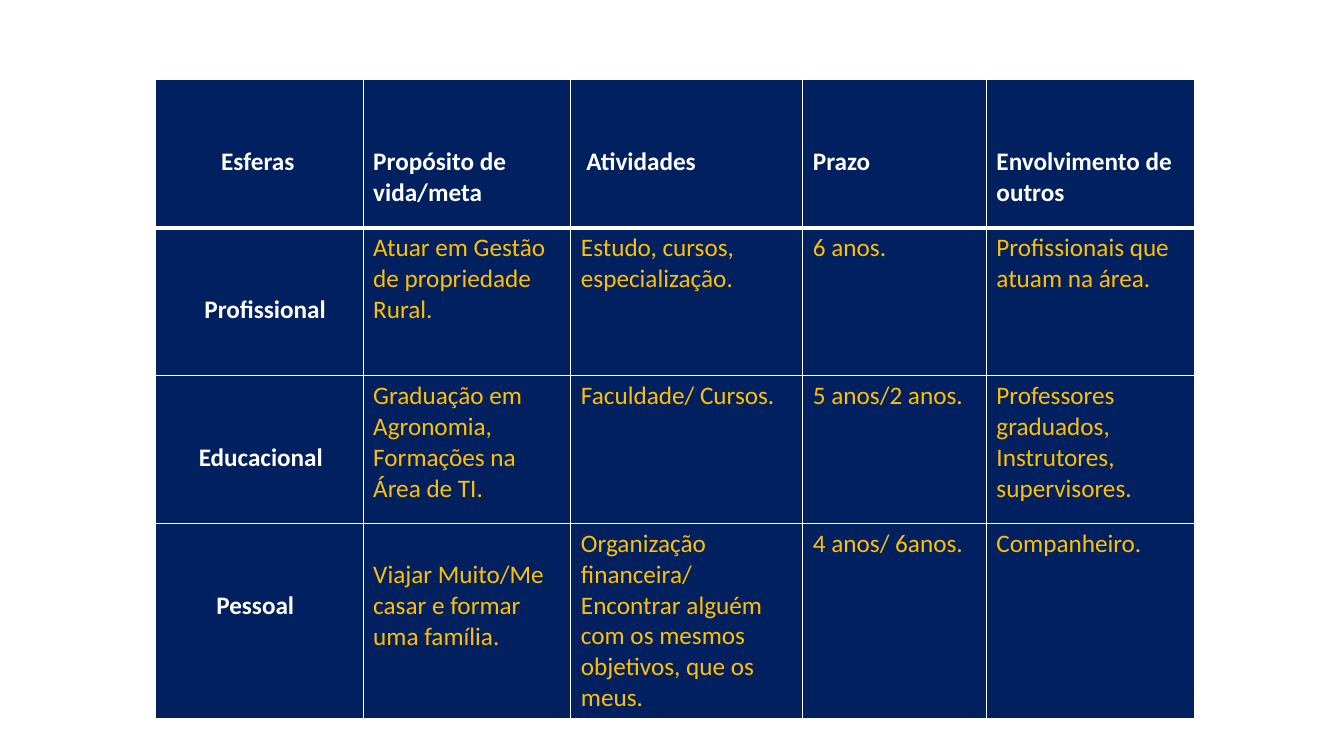
import pptx
import pptx.dml.color
import pptx.oxml
import pptx.oxml.ns
import pptx.util

Pt = pptx.util.Pt
NAVY = pptx.dml.color.RGBColor(0x00, 0x20, 0x60)
GOLD = pptx.dml.color.RGBColor(0xFF, 0xC0, 0x00)
WHITE = pptx.dml.color.RGBColor(0xFF, 0xFF, 0xFF)
LINE_HEIGHT = 22
SIDE_INSET, TOP_INSET = 7.2, 3.6

GOALS = [
    ["Esferas", "Propósito de vida/meta", "Atividades", "Prazo", "Envolvimento de outros"],
    ["Profissional", "Atuar em Gestão de propriedade Rural.", "Estudo, cursos, especialização.",
     "6 anos.", "Profissionais que atuam na área."],
    ["Educacional", "Graduação em Agronomia, Formações na Área de TI.", "Faculdade/ Cursos.",
     "5 anos/2 anos.", "Professores graduados, Instrutores, supervisores."],
    ["Pessoal", "Viajar Muito/Me casar e formar uma família.",
     "Organização financeira/ Encontrar alguém com os mesmos objetivos, que os meus.",
     "4 anos/ 6anos.", "Companheiro."],
]
INDENTS = {(0, 0): 47, (0, 2): 11, (1, 0): 35, (2, 0): 31, (3, 0): 43.5}
COLUMN_SHARES = [2.06, 2.06, 2.3, 1.82, 2.06]


def add_border(cell, side, weight):
    """Draw one white edge of a cell."""
    edge = pptx.oxml.parse_xml(
        f'<a:{side} {pptx.oxml.ns.nsdecls("a")} w="{Pt(weight)}"><a:solidFill>'
        f'<a:srgbClr val="{WHITE}"/></a:solidFill></a:{side}>')
    cell._tc.get_or_add_tcPr().append(edge)


def format_cell(cell, text, row, column):
    """Fill one goal cell with its text, inset, borders and colours."""
    heading = row == 0 or column == 0
    lines_above = 2 if heading else int((row, column) == (3, 1))
    cell.margin_left = Pt(INDENTS.get((row, column), SIDE_INSET))
    cell.margin_right = Pt(SIDE_INSET)
    cell.margin_top = Pt(TOP_INSET + lines_above * LINE_HEIGHT)
    cell.margin_bottom = Pt(TOP_INSET)
    weights = {"lnL": 1, "lnR": 1, "lnT": 3 if row == 1 else 1, "lnB": 3 if row == 0 else 1}
    for side, weight in weights.items():
        add_border(cell, side, weight)
    cell.fill.solid()
    cell.fill.fore_color.rgb = NAVY
    cell.text_frame.text = text
    font = cell.text_frame.paragraphs[0].runs[0].font
    font.name, font.size, font.bold = "Calibri", Pt(18), heading
    font.color.rgb = WHITE if heading else GOLD


def add_goal_table(slide, left, top, width, row_height):
    """Place the life goals table in the given box."""
    goals = slide.shapes.add_table(
        len(GOALS), len(COLUMN_SHARES), Pt(left), Pt(top),
        Pt(width), Pt(row_height * len(GOALS))).table
    for column, share in zip(goals.columns, COLUMN_SHARES):
        column.width = Pt(width * share / sum(COLUMN_SHARES))
    for row, texts in enumerate(GOALS):
        goals.rows[row].height = Pt(row_height)
        for column, text in enumerate(texts):
            format_cell(goals.cell(row, column), text, row, column)


def main():
    """Build and save the slide."""
    presentation = pptx.Presentation()
    presentation.slide_width, presentation.slide_height = Pt(960), Pt(540)
    slide = presentation.slides.add_slide(presentation.slide_layouts[6])
    add_goal_table(slide, left=111, top=57, width=742, row_height=105.7)
    presentation.save("out.pptx")


main()
